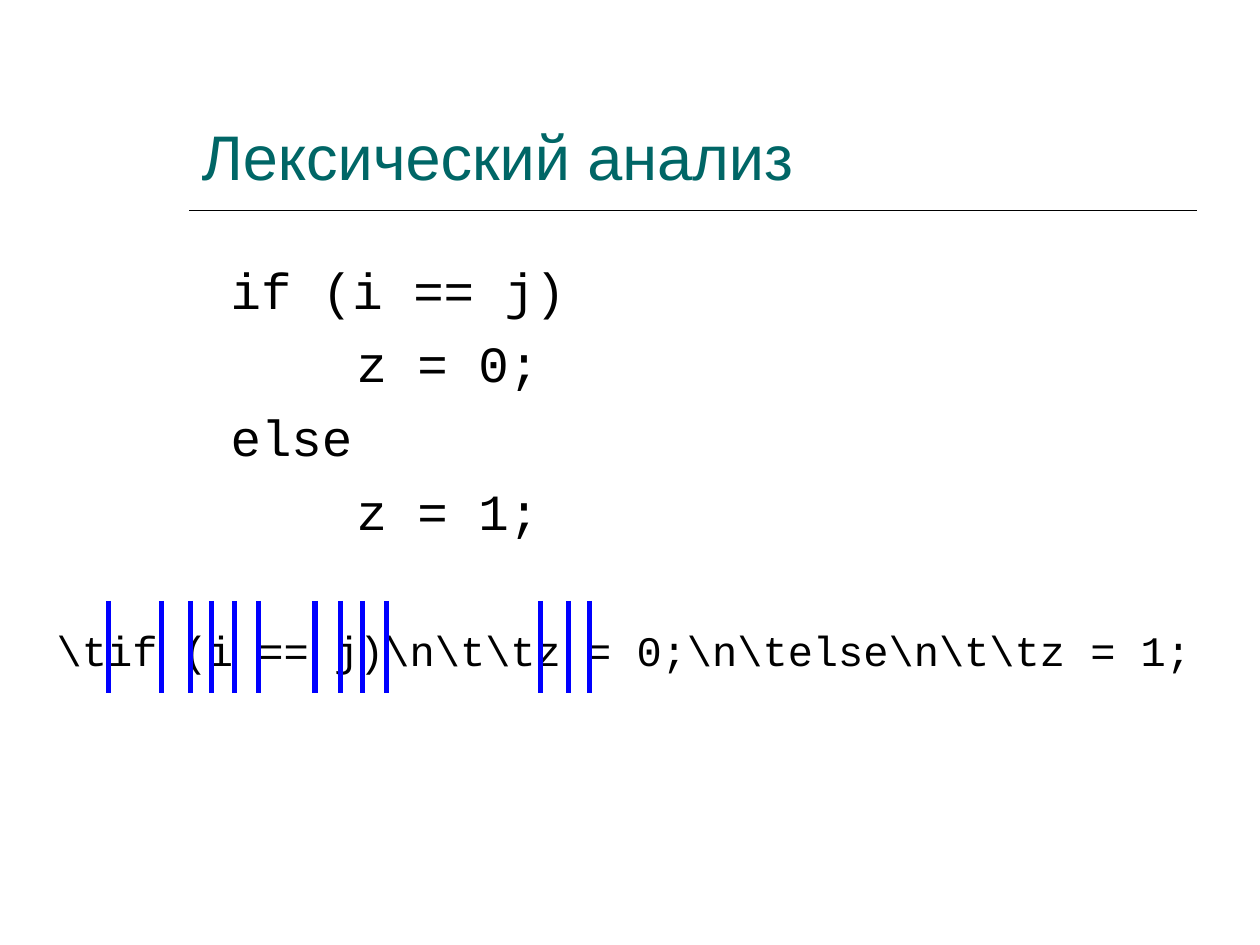
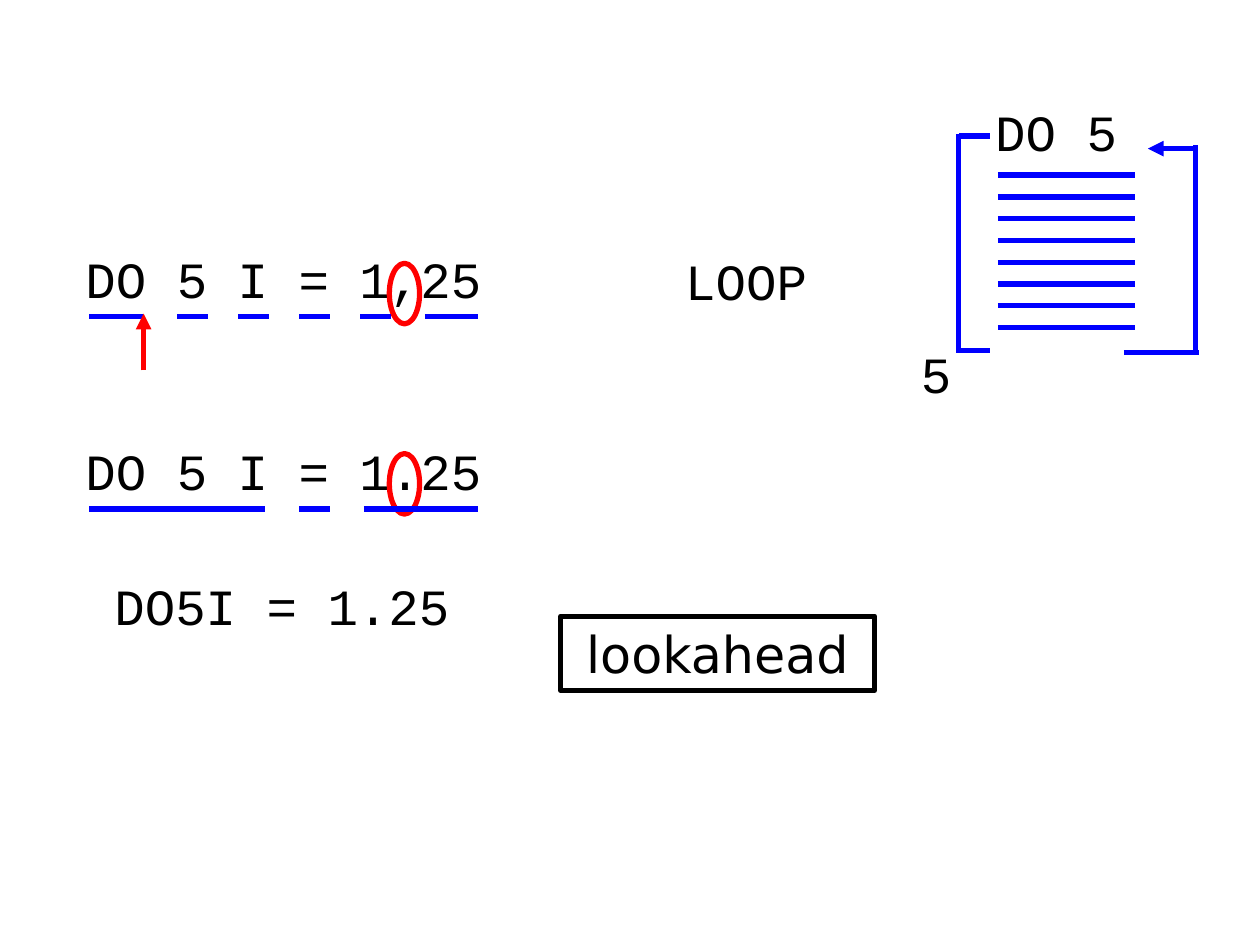
from dataclasses import dataclass

from lxml.etree import SubElement
from pptx import Presentation
from pptx.dml.color import RGBColor as RGB
from pptx.enum.shapes import MSO_CONNECTOR as CONN, MSO_SHAPE as SHAPE
from pptx.enum.text import MSO_ANCHOR as ANCHOR, MSO_AUTO_SIZE as FIT, PP_ALIGN as ALIGN
from pptx.oxml.ns import qn
from pptx.util import Inches, Pt


@dataclass(frozen=True)
class Theme:
    """Colours, fonts, type sizes and grid of the deck."""
    ink: RGB = RGB(0, 0, 0)
    teal: RGB = RGB(0, 0x66, 0x66)
    blue: RGB = RGB(0, 0, 0xFF)
    red: RGB = RGB(0xFF, 0, 0)
    title_font: str = "Arial"
    code_font: str = "Courier New"
    label_font: str = "DejaVu Sans"
    title_size: int = 36
    code_size: int = 29
    stream_size: int = 24
    columns: int = 100
    rows: int = 75
    char: float = 2.42


class Deck:
    """Draws slide elements on a grid of columns and rows."""

    def __init__(self, theme):
        """Start an empty deck."""
        self.t = theme
        self.prs = Presentation()
        self.prs.slide_width, self.prs.slide_height = Inches(10), Inches(7.5)
        self.s = None

    def x(self, col):
        """Turn columns into a length."""
        return round(self.prs.slide_width * col / self.t.columns)

    def y(self, row):
        """Turn rows into a length."""
        return round(self.prs.slide_height * row / self.t.rows)

    def box(self, col, row, width, height):
        """Turn a grid box into lengths."""
        return self.x(col), self.y(row), self.x(width), self.y(height)

    def slide(self, layout):
        """Add a slide and make it current."""
        self.s = self.prs.slides.add_slide(self.prs.slide_layouts[layout])

    def place(self, sp, box):
        """Move a placeholder to a grid box."""
        for name, value in zip(("left", "top", "width", "height"), self.box(*box)):
            setattr(sp, name, value)

    def frame(self, tf, **values):
        """Set frame values."""
        for name, value in values.items():
            setattr(tf, name, value)

    def add_text(self, p, text, color=None, **font):
        """Add a run in code style unless told otherwise."""
        r = p.add_run()
        r.text = text
        for name, value in {"name": self.t.code_font, "size": Pt(self.t.code_size), **font}.items():
            setattr(r.font, name, value)
        r.font.color.rgb = color or self.t.ink

    def title(self, text, *box):
        """Fill the title and rule it off."""
        sp = self.s.shapes.title
        self.place(sp, box)
        self.frame(sp.text_frame, vertical_anchor=ANCHOR.BOTTOM, auto_size=FIT.NONE)
        p = sp.text_frame.paragraphs[0]
        p.alignment = ALIGN.LEFT
        self.add_text(p, text, self.t.teal, name=self.t.title_font, size=Pt(self.t.title_size))
        col, row, width, height = box
        rule = row + height + 0.9
        self.line(col, rule, col + width, rule, self.t.ink, 1)

    def code(self, lines, *box):
        """Fill the body with lines of text, indent, space before and size."""
        sp = self.s.placeholders[1]
        self.place(sp, box)
        tf = sp.text_frame
        self.frame(tf, auto_size=FIT.NONE)
        for i, (text, indent, before, size) in enumerate(lines):
            p = tf.add_paragraph() if i else tf.paragraphs[0]
            p.space_before = Pt(before)
            pr = p._p.get_or_add_pPr()
            pr.set("marL", str(self.x(indent)))
            pr.set("indent", "0")
            SubElement(pr, qn("a:buNone"))
            self.add_text(p, text, size=Pt(size))

    def text(self, text, *box, wrap=True):
        """Add a code text box."""
        tf = self.s.shapes.add_textbox(*self.box(*box)).text_frame
        self.frame(tf, word_wrap=wrap, auto_size=FIT.SHAPE_TO_FIT_TEXT)
        self.add_text(tf.paragraphs[0], text)

    def outline(self, kind, color, *box):
        """Add an unfilled shape."""
        sp = self.s.shapes.add_shape(kind, *self.box(*box))
        sp.shadow.inherit = False
        sp.fill.background()
        sp.line.color.rgb, sp.line.width = color, Pt(3)
        return sp

    def label(self, text, *box):
        """Add a framed label."""
        tf = self.outline(SHAPE.RECTANGLE, self.t.ink, *box).text_frame
        self.frame(tf, word_wrap=True, auto_size=FIT.SHAPE_TO_FIT_TEXT, vertical_anchor=ANCHOR.TOP)
        p = tf.paragraphs[0]
        p.alignment = ALIGN.CENTER
        self.add_text(p, text, name=self.t.label_font)

    def line(self, x1, y1, x2, y2, color=None, width=3, arrow=False):
        """Add a line or an arrow."""
        c = self.s.shapes.add_connector(CONN.STRAIGHT, self.x(x1), self.y(y1), self.x(x2), self.y(y2))
        c.line.color.rgb, c.line.width = color or self.t.blue, Pt(width)
        pr = c._element.spPr
        if arrow:
            SubElement(pr.find(qn("a:ln")), qn("a:tailEnd"), type="triangle")
        SubElement(pr, qn("a:effectLst"))

    def underline(self, col, row, tokens):
        """Underline tokens given by first and end character."""
        for start, end in tokens:
            inset = 0.3 if end - start > 1 else 0
            self.line(col + start * self.t.char + inset, row, col + end * self.t.char - inset, row)


def lexical_analysis(d):
    """Build the slide with the source text and its token cuts."""
    size = d.t.code_size
    d.slide(1)
    d.title("Лексический анализ", 15, 3.3, 80, 12.5)
    d.code([("if (i == j)", 13.8, 7.3, size), ("z = 0;", 23.8, 7.3, size),
            ("else", 13.8, 7.3, size), ("z = 1;", 23.8, 7.3, size),
            (r"\tif (i == j)\n\t\tz = 0;\n\telse\n\t\tz = 1;", 0, 48.3, d.t.stream_size)],
           3.5, 20, 96.5, 45)
    for cut in (8.6, 12.8, 15.1, 16.8, 18.6, 20.5, 25, 27, 28.8, 30.7, 42.9, 45.1, 46.8):
        d.line(cut, 47.7, cut, 55)


def lookahead(d):
    """Build the slide that compares a loop with an assignment."""
    d.slide(6)
    for text, *box in (("DO 5 I = 1,25", 5.8, 19.2, 35, 5.9), ("DO 5 I = 1.25", 5.8, 34.4, 35, 5.9),
                       ("LOOP", 53.4, 19.3, 12.7, 5.9), ("DO 5", 78, 7.5, 18.5, 5.9),
                       ("DO5I = 1.25", 8.1, 45.1, 38.6, 5.9)):
        d.text(text, *box)
    d.text("5", 72.1, 26.7, 4.4, 5.9, wrap=False)
    d.line(76.1, 10.6, 76.1, 28)
    for row in (10.8, 27.8):
        d.line(76.1, row, 78.6, row)
    for i in range(8):
        row = 13.9 + i * 12.1 / 7
        d.line(79.2, row, 90.1, row)
    d.line(89.2, 28, 95.2, 28)
    d.line(94.9, 28, 94.9, 11.5)
    d.line(94.8, 11.8, 91.1, 11.8, arrow=True)
    for row in (20.9, 36):
        d.outline(SHAPE.OVAL, d.t.red, 30.9, row, 2.4, 4.8)
    d.underline(6.8, 25.1, [(0, 2), (3, 4), (5, 6), (7, 8), (9, 10), (11, 13)])
    d.underline(6.8, 40.4, [(0, 6), (7, 8), (9, 13)])
    d.line(11.4, 29.4, 11.4, 24.9, d.t.red, arrow=True)
    d.label("lookahead", 44.5, 48.9, 24.9, 5.9)


def main():
    """Build and save the deck."""
    d = Deck(Theme())
    lexical_analysis(d)
    lookahead(d)
    d.prs.save("out.pptx")


if __name__ == "__main__":
    main()
